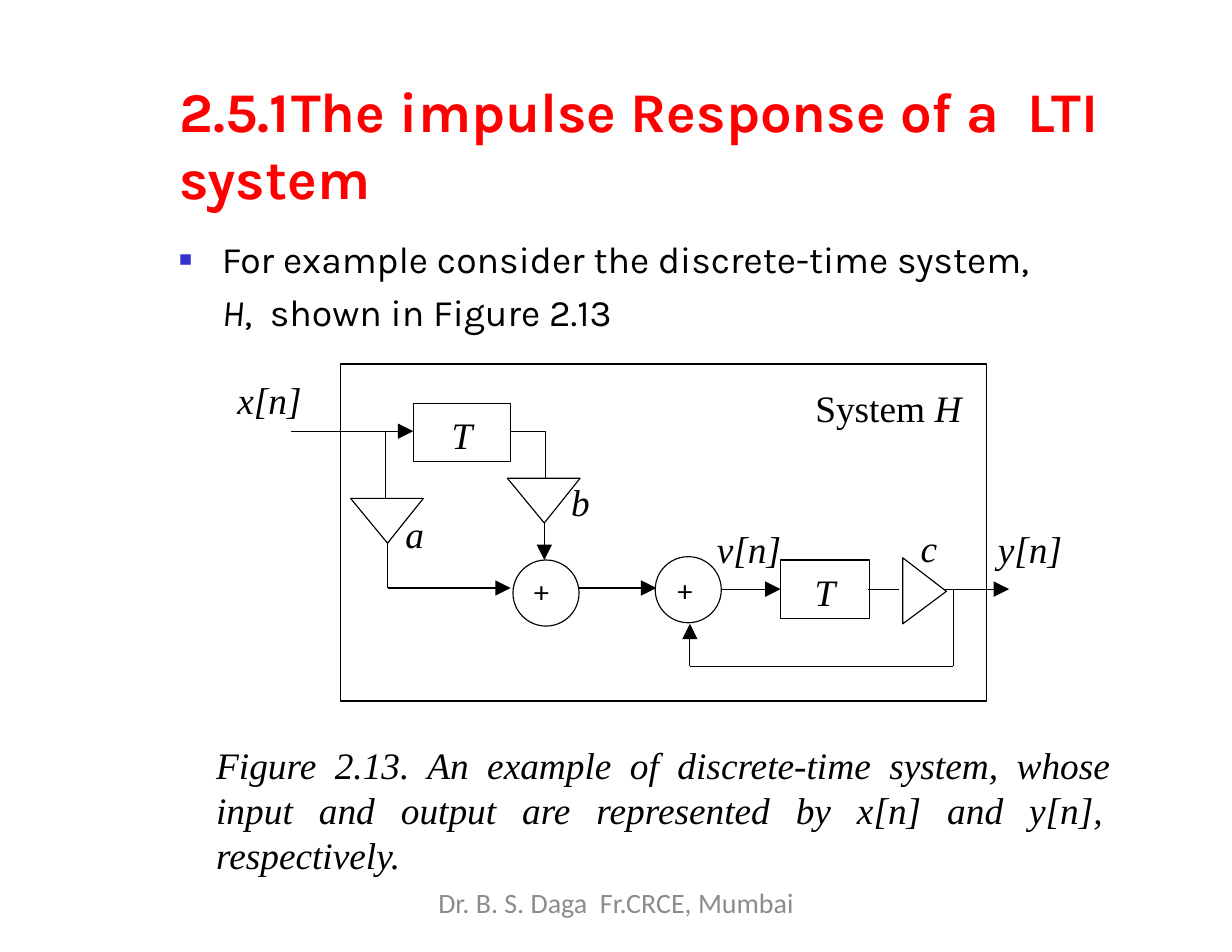
from lxml import etree
from pptx import Presentation
from pptx import util as u
from pptx.dml.color import RGBColor
from pptx.enum import shapes, text
from pptx.oxml import ns

BLACK = RGBColor(0, 0, 0)
RED = RGBColor(255, 0, 0)
GREY = RGBColor(0x8C, 0x8C, 0x8C)
BULLET_BLUE = RGBColor(0x33, 0x33, 0xCC)
SERIF = {"name": "Times New Roman", "size": u.Pt(24), "color": BLACK}
ITALIC = {**SERIF, "italic": True}
SANS = {"name": "Karla", "size": u.Pt(24), "color": BLACK}

presentation = Presentation()
presentation.slide_width = u.Inches(11)
presentation.slide_height = u.Inches(8.5)
slide = presentation.slides.add_slide(presentation.slide_layouts[1])

# The slide is a grid of 11 columns by 8.5 rows
COLUMN = presentation.slide_width / 11
ROW = presentation.slide_height / 8.5


def grid(*values):
    """Turn alternating columns and rows into slide lengths."""
    return [int(value * (ROW if index % 2 else COLUMN)) for index, value in enumerate(values)]


def write(shape, runs, align=text.PP_ALIGN.LEFT, top=0.01, wrap=True):
    """Fill a shape with one paragraph of (wording, format) runs."""
    frame = shape.text_frame
    settings = {
        "margin_left": 0, "margin_right": 0, "margin_bottom": 0,
        "margin_top": int(top * ROW), "word_wrap": wrap,
        "vertical_anchor": text.MSO_ANCHOR.TOP, "auto_size": text.MSO_AUTO_SIZE.NONE,
    }
    for name, value in settings.items():
        setattr(frame, name, value)
    paragraph = frame.paragraphs[0]
    paragraph.alignment = align
    paragraph.space_before = u.Pt(0)
    for wording, look in runs:
        run = paragraph.add_run()
        run.text = wording
        for name, value in look.items():
            if name == "color":
                run.font.color.rgb = value
            else:
                setattr(run.font, name, value)
    return paragraph


# Title and bullet, in the template's placeholders
title, body = slide.shapes.title, slide.placeholders[1]
title.left, title.top, title.width, title.height = grid(1.14, 0.67, 8.72, 1.23)
body.left, body.top, body.width, body.height = grid(1.59, 2.02, 7.8, 1.01)
heading = {**SANS, "size": u.Pt(36), "color": RED, "bold": True}
title_paragraph = write(title, [("2.5.1\tThe impulse Response of a  LTI system", heading)])
body_paragraph = write(body, [
    ("For example consider the discrete-time system, ", SANS),
    ("H", {**SANS, "italic": True}),
    (",  shown in Figure 2.13", SANS),
], top=0.02)
body_paragraph.line_spacing = 1.18

# Indents, bullet and tab stops
for paragraph, margin, indent, tab, bullet in [
    (title_paragraph, 0.46, 0, 2.02, ""),
    (body_paragraph, 0.39, -0.38, 0.39, "■"),
]:
    properties = paragraph._p.get_or_add_pPr()
    properties.set("marL", str(u.Inches(margin)))
    properties.set("indent", str(u.Inches(indent)))
    if bullet:
        color = etree.SubElement(properties, ns.qn("a:buClr"))
        etree.SubElement(color, ns.qn("a:srgbClr")).set("val", str(BULLET_BLUE))
        etree.SubElement(properties, ns.qn("a:buSzPct")).set("val", "58000")
        etree.SubElement(properties, ns.qn("a:buChar")).set("char", bullet)
    tabs = etree.SubElement(properties, ns.qn("a:tabLst"))
    stop = etree.SubElement(tabs, ns.qn("a:tab"))
    stop.set("pos", str(u.Inches(tab)))
    stop.set("algn", "l")

# System frame, delay blocks and adders
RECTANGLE, OVAL = shapes.MSO_SHAPE.RECTANGLE, shapes.MSO_SHAPE.OVAL
outlines = []
for kind, box, wording in [
    (RECTANGLE, (3.04, 3.25, 5.77, 3.01), ""),
    (RECTANGLE, (3.69, 3.6, 0.87, 0.52), "T"),
    (RECTANGLE, (6.97, 5, 0.79, 0.52), "T"),
    (OVAL, (4.58, 5, 0.59, 0.59), ""),
    (OVAL, (5.85, 4.97, 0.59, 0.59), ""),
]:
    shape = slide.shapes.add_shape(kind, *grid(*box))
    outlines.append(shape)
    if wording:
        write(shape, [(wording, ITALIC)], text.PP_ALIGN.CENTER, top=0.08)

# Gain triangles a, b and c
for corners in [
    [(3.46, 4.85), (3.13, 4.45), (3.78, 4.45)],
    [(4.86, 4.67), (4.53, 4.27), (5.18, 4.27)],
    [(8.45, 5.28), (8.06, 5.57), (8.06, 4.98)],
]:
    points = [grid(*corner) for corner in corners]
    builder = slide.shapes.build_freeform(*points[0])
    builder.add_line_segments(points[1:], close=True)
    outlines.append(builder.convert_to_shape())

for shape in outlines:
    shape.shadow.inherit = False
    shape.fill.background()
    shape.line.color.rgb = BLACK
    shape.line.width = u.Pt(0.75)

# Signal lines: start, end, arrowhead
for start, end, arrow in [
    ((2.6, 3.85), (3.69, 3.85), True),
    ((3.44, 3.85), (3.44, 4.45), False),
    ((3.46, 4.85), (3.46, 5.25), False),
    ((3.46, 5.25), (4.56, 5.25), True),
    ((4.56, 3.85), (4.87, 3.85), False),
    ((4.87, 3.85), (4.87, 4.27), False),
    ((4.86, 4.67), (4.86, 5), True),
    ((5.16, 5.25), (5.86, 5.25), True),
    ((6.44, 5.26), (6.97, 5.26), True),
    ((7.75, 5.26), (8.03, 5.26), False),
    ((8.42, 5.26), (9.01, 5.26), True),
    ((8.51, 5.26), (8.51, 5.95), False),
    ((8.51, 5.95), (6.16, 5.95), False),
    ((6.16, 5.95), (6.16, 5.57), True),
]:
    line = slide.shapes.add_connector(shapes.MSO_CONNECTOR.STRAIGHT, *grid(*start, *end))
    line.line.color.rgb = BLACK
    line.line.width = u.Pt(0.75)
    if arrow:
        head = etree.SubElement(line.line._get_or_add_ln(), ns.qn("a:tailEnd"))
        for name, value in {"type": "triangle", "w": "lg", "len": "lg"}.items():
            head.set(name, value)
    etree.SubElement(line._element.spPr, ns.qn("a:effectLst"))

# Labels of the diagram
PLUS = {**SANS, "size": u.Pt(18)}
for left, top, width, runs in [
    (2.12, 3.36, 0.6, [("x[n]", ITALIC)]),
    (3.62, 4.55, 0.19, [("a", ITALIC)]),
    (5.1, 4.27, 0.19, [("b", ITALIC)]),
    (8.22, 4.68, 0.18, [("c", ITALIC)]),
    (6.4, 4.69, 0.6, [("v[n]", ITALIC)]),
    (8.91, 4.69, 0.6, [("y[n]", ITALIC)]),
    (7.28, 3.43, 1.33, [("System ", SERIF), ("H", ITALIC)]),
    (4.77, 5.1, 0.21, [("+", PLUS)]),
    (6.05, 5.09, 0.21, [("+", PLUS)]),
]:
    write(slide.shapes.add_textbox(*grid(left, top, width, 0.43)), runs, wrap=False)

# Caption and footer
caption = slide.shapes.add_textbox(*grid(1.93, 6.62, 8.15, 1.23))
write(caption, [(
    "Figure 2.13. An example of discrete-time system, whose  input and output "
    "are represented by x[n] and y[n],  respectively.", ITALIC)], text.PP_ALIGN.JUSTIFY)
footer = slide.shapes.add_textbox(*grid(3.74, 7.91, 3.52, 0.42))
write(footer, [("Dr. B. S. Daga  Fr.CRCE, Mumbai",
                {"name": "Calibri", "size": u.Pt(18), "color": GREY})], text.PP_ALIGN.CENTER, top=0)

presentation.save("out.pptx")
